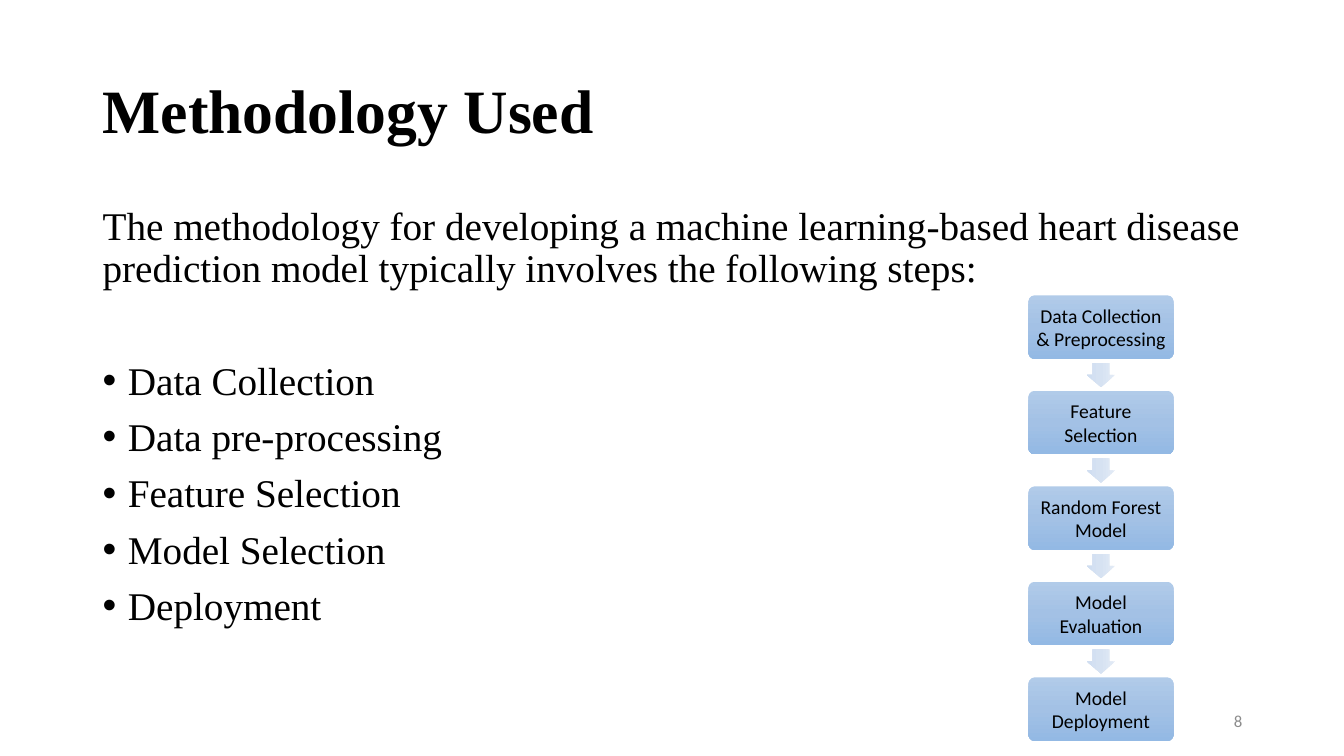
"""Build the methodology slide with its bullet list and process flow."""
from copy import deepcopy
from dataclasses import dataclass

from lxml.etree import SubElement
from pptx import Presentation
from pptx.dml.color import RGBColor
from pptx.enum.shapes import MSO_SHAPE as Preset
from pptx.enum.text import MSO_ANCHOR as Anchor, PP_ALIGN as Align
from pptx.oxml.ns import qn
from pptx.util import Inches, Pt

COLORS = {
    "text": "000000", "number": "8C8C8C",
    "step_top": "B1CBE9", "step_middle": "A3C1E5", "step_bottom": "93B9E4",
    "arrow_top": "E3EBF6", "arrow_middle": "D6E2F2", "arrow_bottom": "D0DEF1",
}
SERIF, SANS = "Times New Roman", "Calibri"
STEPS = ["Data Collection & Preprocessing", "Feature Selection", "Random Forest Model",
         "Model Evaluation", "Model Deployment"]
FLOW_LEFT, FLOW_TOP, STEP_PITCH = 10.2, 2.93, 3.79 / 4
STEP_WIDTH, STEP_HEIGHT = 1.44, 0.63
ARROW_WIDTH, ARROW_HEIGHT, ARROW_OFFSET = 0.24, 0.28, 0.65


@dataclass(frozen=True)
class Line:
    text: str
    space_before: float = 0
    bullet: bool = False


@dataclass(frozen=True)
class TextBlock:
    left: float
    top: float
    width: float
    height: float
    lines: tuple[Line, ...]
    size: float
    font: str = SERIF
    color: str = "text"
    bold: bool = False
    spacing: float = 0.9
    anchor: Anchor = Anchor.MIDDLE
    align: Align = Align.LEFT


BLOCKS = [
    TextBlock(0.92, 0.4, 11.5, 1.45, (Line("Methodology Used"),), 44, bold=True),
    TextBlock(0.92, 2, 11.5, 4.76, (
        Line("The methodology for developing a machine learning-based heart disease "
             "prediction model typically involves the following steps:", 10),
        Line("Data Collection", 50, True),
        Line("Data pre-processing", 10, True),
        Line("Feature Selection", 10, True),
        Line("Model Selection", 10, True),
        Line("Deployment", 10, True),
    ), 28, anchor=Anchor.TOP),
    TextBlock(9.42, 6.95, 3, 0.4, (Line("8"),), 12, SANS, "number", spacing=1,
              align=Align.RIGHT),
]


def style_para(para, size: float, font: str, color: str, bold: bool = False) -> None:
    for span in para.runs:
        span.font.size = Pt(size)
        span.font.name = font
        span.font.bold = bold
        span.font.color.rgb = RGBColor.from_string(COLORS[color])


def add_bullet(para) -> None:
    properties = para._p.get_or_add_pPr()
    properties.set("marL", str(Inches(0.25)))
    properties.set("indent", str(Inches(-0.25)))
    SubElement(properties, qn("a:buFont")).set("typeface", "Arial")
    SubElement(properties, qn("a:buChar")).set("char", "•")


def draw_text(page, block: TextBlock) -> None:
    box = page.shapes.add_textbox(Inches(block.left), Inches(block.top),
                                  Inches(block.width), Inches(block.height))
    frame = box.text_frame
    frame.word_wrap = True
    frame.vertical_anchor = block.anchor
    frame.text = "\n".join(line.text for line in block.lines)
    for para, line in zip(frame.paragraphs, block.lines):
        para.alignment = block.align
        para.line_spacing = block.spacing
        para.space_before = Pt(line.space_before)
        if line.bullet:
            add_bullet(para)
        style_para(para, block.size, block.font, block.color, block.bold)


def draw_shape(page, preset: Preset, left: float, top: float, width: float, height: float,
               adjustment: float, palette: str):
    shape = page.shapes.add_shape(preset, Inches(left), Inches(top),
                                  Inches(width), Inches(height))
    shape.shadow.inherit = False
    shape.adjustments[0] = adjustment
    shape.line.fill.background()
    shape.fill.gradient()
    shape.fill.gradient_angle = 270
    stop_list = next(shape._element.spPr.iter(qn("a:gsLst")))
    stop_list.insert(1, deepcopy(stop_list[0]))
    levels = (("top", 0), ("middle", 0.5), ("bottom", 1))
    for stop, (level, position) in zip(shape.fill.gradient_stops, levels):
        stop.position = position
        stop.color.rgb = RGBColor.from_string(COLORS[f"{palette}_{level}"])
    return shape


def draw_step(page, label: str, top: float) -> None:
    step = draw_shape(page, Preset.ROUNDED_RECTANGLE, FLOW_LEFT, top,
                      STEP_WIDTH, STEP_HEIGHT, 0.1, "step")
    frame = step.text_frame
    frame.word_wrap = True
    frame.vertical_anchor = Anchor.MIDDLE
    frame.margin_left = frame.margin_right = Inches(0.04)
    frame.margin_top = frame.margin_bottom = Inches(0.04)
    frame.text = label
    para = frame.paragraphs[0]
    para.alignment = Align.CENTER
    style_para(para, 14, SANS, "text")


def draw_flow(page) -> None:
    arrow_left = FLOW_LEFT + (STEP_WIDTH - ARROW_WIDTH) / 2
    for index, label in enumerate(STEPS):
        top = FLOW_TOP + index * STEP_PITCH
        draw_step(page, label, top)
        if index < len(STEPS) - 1:
            arrow = draw_shape(page, Preset.RIGHT_ARROW, arrow_left, top + ARROW_OFFSET,
                               ARROW_WIDTH, ARROW_HEIGHT, 0.6, "arrow")
            arrow.rotation = 90


def main() -> None:
    deck = Presentation()
    deck.slide_width, deck.slide_height = Inches(13.33), Inches(7.5)
    page = deck.slides.add_slide(deck.slide_layouts[6])
    for block in BLOCKS:
        draw_text(page, block)
    draw_flow(page)
    deck.save("out.pptx")


if __name__ == "__main__":
    main()
